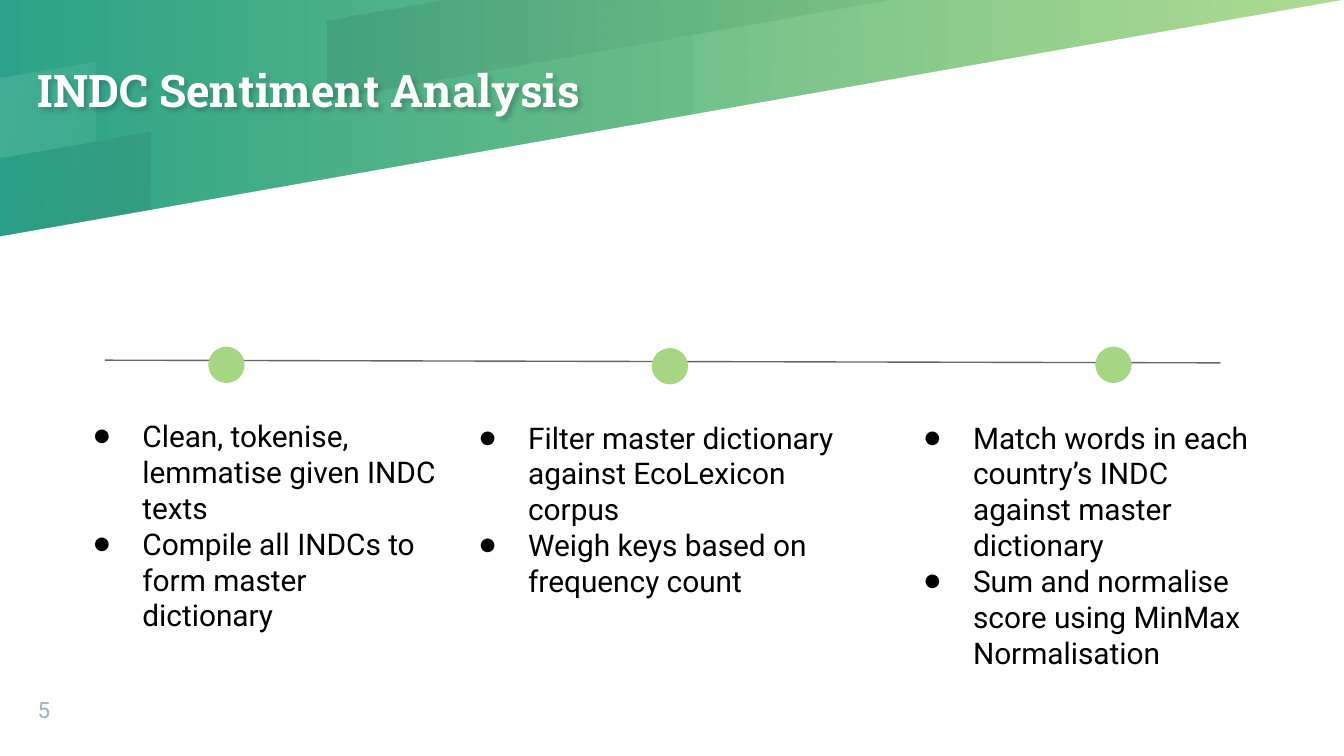
from lxml import etree
from pptx import Presentation
from pptx.dml.color import RGBColor
from pptx.enum.shapes import MSO_CONNECTOR, MSO_SHAPE
from pptx.enum.text import MSO_ANCHOR, MSO_AUTO_SIZE, PP_ALIGN
from pptx.oxml.ns import qn
from pptx.util import Inches, Pt

STRAIGHT = MSO_CONNECTOR.STRAIGHT
OVAL = MSO_SHAPE.OVAL
TOP, MIDDLE, BOTTOM = MSO_ANCHOR.TOP, MSO_ANCHOR.MIDDLE, MSO_ANCHOR.BOTTOM
NO_FIT = MSO_AUTO_SIZE.NONE
LEFT = PP_ALIGN.LEFT

TEAL = RGBColor(0x2C, 0xA3, 0x88)
GREEN = RGBColor(0xA6, 0xD6, 0x83)
WHITE = RGBColor(0xFF, 0xFF, 0xFF)
NAVY = RGBColor(0x00, 0x00, 0x1A)
BLACK = RGBColor(0x00, 0x00, 0x00)
GRAY = RGBColor(0x66, 0x66, 0x66)
BLUE_GRAY = RGBColor(0x9E, 0xB3, 0xC2)

BODY_FONT = "Roboto"
TITLE_FONT = "Roboto Slab"
WIDTH = 10
HEIGHT = WIDTH * 9 / 16
DOT = 0.27


class Deck:
    def __init__(self):
        self.prs = Presentation()
        self.prs.slide_width = Inches(WIDTH)
        self.prs.slide_height = Inches(HEIGHT)
        self.s = self.prs.slides.add_slide(self.prs.slide_layouts[4])

    def gradient(self, fill, colors, angle):
        fill.gradient()
        fill.gradient_angle = angle
        for stop, position, color in zip(fill.gradient_stops, (0, 1), colors):
            stop.position = position
            stop.color.rgb = color

    def polygon(self, points, color, alphas=None):
        points = [(Inches(x), Inches(y)) for x, y in points]
        builder = self.s.shapes.build_freeform(*points[0], scale=1.0)
        builder.add_line_segments(points[1:], close=True)
        sp = builder.convert_to_shape()
        sp.shadow.inherit = False
        sp.line.fill.background()
        if alphas is None:
            sp.fill.solid()
            sp.fill.fore_color.rgb = color
            return
        self.gradient(sp.fill, (color, color), 350)
        for clr, alpha in zip(sp._element.iter(qn("a:srgbClr")), alphas):
            etree.SubElement(clr, qn("a:alpha")).set("val", str(alpha * 1000))

    def dot(self, x, y):
        sp = self.s.shapes.add_shape(OVAL, Inches(x), Inches(y), Inches(DOT), Inches(DOT))
        sp.shadow.inherit = False
        sp.fill.solid()
        sp.fill.fore_color.rgb = GREEN
        sp.line.fill.background()

    def line(self, x1, y1, x2, y2):
        cxn = self.s.shapes.add_connector(
            STRAIGHT, Inches(x1), Inches(y1), Inches(x2), Inches(y2))
        cxn.line.color.rgb = GRAY
        cxn.line.width = Pt(0.75)
        etree.SubElement(cxn._element.spPr, qn("a:effectLst"))

    def place(self, sp, x, y, w, h):
        sp.left, sp.top, sp.width, sp.height = (Inches(v) for v in (x, y, w, h))
        sp._element.getparent().append(sp._element)

    def frame(self, sp, anchor, inset):
        tf = sp.text_frame
        tf.word_wrap = True
        tf.auto_size = NO_FIT
        tf.vertical_anchor = anchor
        tf.margin_left = tf.margin_right = Inches(inset)
        tf.margin_top = tf.margin_bottom = Inches(inset)
        return tf

    def style(self, p, size, color, font=BODY_FONT, bold=False):
        p.alignment = LEFT
        p.space_before = Pt(0)
        for r in p.runs:
            r.font.name = font
            r.font.size = Pt(size)
            r.font.bold = bold
            r.font.color.rgb = color

    def title(self, text, x, y, w, h):
        sp = self.s.shapes.title
        self.place(sp, x, y, w, h)
        tf = self.frame(sp, MIDDLE, 0)
        tf.text = text
        self.style(tf.paragraphs[0], 24, WHITE, TITLE_FONT, True)
        effects = etree.SubElement(sp._element.spPr, qn("a:effectLst"))
        shadow = etree.SubElement(
            effects, qn("a:outerShdw"), blurRad="28575", dist="19050", dir="3000000")
        clr = etree.SubElement(shadow, qn("a:srgbClr"), val=str(NAVY))
        etree.SubElement(clr, qn("a:alpha"), val="20000")

    def text(self, text, x, y, w, h):
        sp = self.s.shapes.add_textbox(Inches(x), Inches(y), Inches(w), Inches(h))
        tf = self.frame(sp, BOTTOM, 0)
        tf.text = text
        self.style(tf.paragraphs[0], 12, BLUE_GRAY)

    def bullets(self, sp, items, x, y, w, h):
        self.place(sp, x, y, w, h)
        tf = self.frame(sp, TOP, 0.1)
        tf.text = "\n".join(items)
        for p in tf.paragraphs:
            self.style(p, 16, BLACK)
            pPr = p._p.get_or_add_pPr()
            pPr.set("marL", str(Inches(0.5)))
            pPr.set("indent", str(Inches(-0.36)))
            clr = etree.SubElement(pPr, qn("a:buClr"))
            etree.SubElement(clr, qn("a:srgbClr"), val=str(BLACK))
            etree.SubElement(pPr, qn("a:buSzPct"), val="60000")
            etree.SubElement(pPr, qn("a:buFont"), typeface=BODY_FONT)
            etree.SubElement(pPr, qn("a:buChar"), char="●")


def main():
    deck = Deck()
    deck.gradient(deck.s.background.fill, (TEAL, GREEN), 0)

    deck.polygon([(0, HEIGHT), (WIDTH, HEIGHT), (WIDTH, 0), (9.99, 0), (0, 1.76)], WHITE)
    bands = [
        ([(0, 1.17), (0, 1.76), (1.12, 1.56), (1.12, 0.98)], NAVY, (2, 8)),
        ([(6.65, 0), (5.16, 0.26), (5.16, 0.85), (9.99, 0)], WHITE, (5, 12)),
        ([(0, 0.58), (0, 1.17), (0.71, 1.05), (0.71, 0.46)], WHITE, (12, 5)),
        ([(3.32, 0), (2.44, 0.15), (2.44, 0.74), (6.65, 0)], NAVY, (8, 2)),
    ]
    for points, color, alphas in bands:
        deck.polygon(points, color, alphas)

    deck.title("INDC Sentiment Analysis", 0.28, 0.19, 6, 0.95)
    deck.text("5", 0.28, 5.11, 0.53, 0.27)

    deck.line(0.78, 2.68, 9.08, 2.7)
    steps = [
        ((1.55, 2.58), (0.46, 3.01, 2.93, 1.69),
         ["Clean, tokenise, lemmatise given INDC texts",
          "Compile all INDCs to form master dictionary"]),
        ((4.85, 2.59), (3.33, 3.02, 3.31, 1.69),
         ["Filter master dictionary against EcoLexicon corpus",
          "Weigh keys based on frequency count"]),
        ((8.15, 2.58), (6.64, 3.02, 2.93, 2.1),
         ["Match words in each country’s INDC against master dictionary",
          "Sum and normalise score using MinMax Normalisation"]),
    ]
    _, *bodies = list(deck.s.placeholders)
    for body, (dot, box, items) in zip(bodies, steps):
        deck.dot(*dot)
        deck.bullets(body, items, *box)
    for spare in bodies[len(steps):]:
        spare._element.getparent().remove(spare._element)

    deck.prs.save("out.pptx")


if __name__ == "__main__":
    main()
